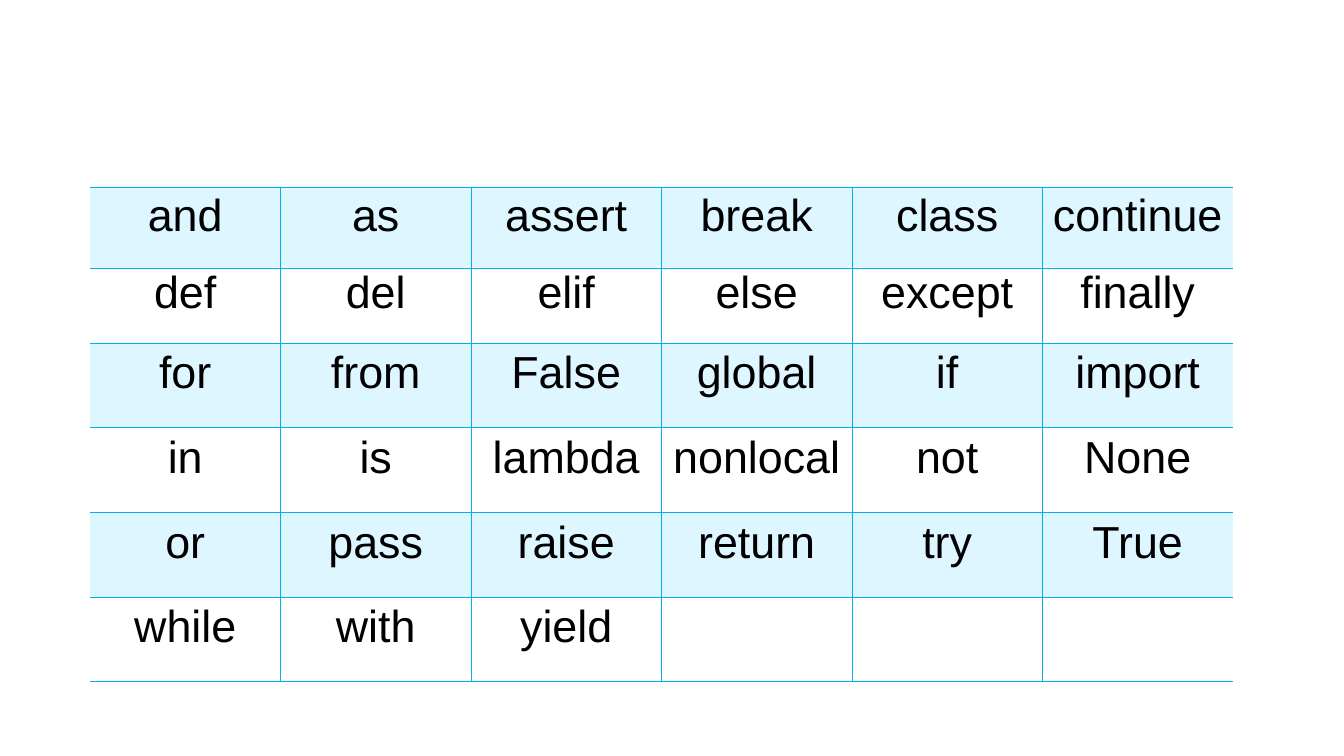
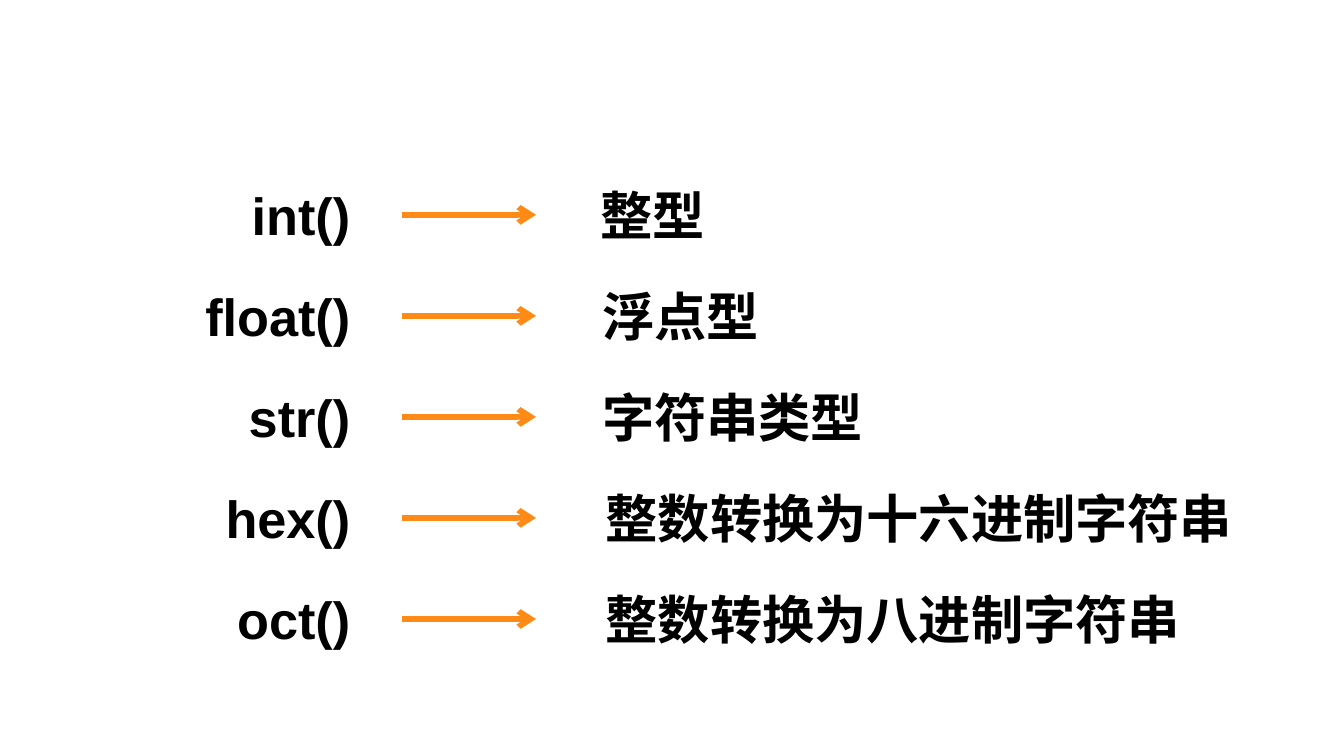
from dataclasses import dataclass
from itertools import chain

from lxml.etree import SubElement
from pptx import Presentation
from pptx.dml.color import RGBColor
from pptx.enum.shapes import MSO_CONNECTOR
from pptx.enum.text import MSO_ANCHOR, MSO_AUTO_SIZE, PP_ALIGN
from pptx.oxml import parse_xml
from pptx.oxml.ns import nsdecls, qn
from pptx.slide import Slide
from pptx.table import _Cell
from pptx.text.text import _Paragraph
from pptx.util import Cm, Pt

# Shared style
FONT = "Arial"
COLORS = {"text": "000000", "band": "5DD5FF", "grid": "00B0F0", "arrow": "FF8A15"}
BLANK_LAYOUT = 6

# Keyword table
KEYWORD_ROWS = [
    ["and", "as", "assert", "break", "class", "continue"],
    ["def", "del", "elif", "else", "except", "finally"],
    ["for", "from", "False", "global", "if", "import"],
    ["in", "is", "lambda", "nonlocal", "not", "None"],
    ["or", "pass", "raise", "return", "try", "True"],
    ["while", "with", "yield", "", "", ""],
]
ROW_HEIGHTS = [1.52, 1.42, 1.6, 1.6, 1.6, 1.6]
COLUMN_WIDTH = 3.6
NO_GRID_STYLE = "{2D5ABB26-0587-4C30-8999-92F81FD0307C}"

# Conversion list
FIRST_TOP, ROW_PITCH, LABEL_HEIGHT = 3.33, 1.91, 1.45
CALL_RIGHT = 6.87
ARROW_LEFT, ARROW_RIGHT, ARROW_DROP = 7.6, 10.13, 0.73
GLYPH_WIDTH, LABEL_PADDING = 0.99, 0.53


@dataclass
class Conversion:
    call: str
    call_width: float
    meaning: str
    meaning_left: float


CONVERSIONS = [
    Conversion("int()", 2.42, "整型", 11.1),
    Conversion("float()", 3.29, "浮点型", 11.13),
    Conversion("str()", 2.47, "字符串类型", 11.13),
    Conversion("hex()", 2.91, "整数转换为十六进制字符串", 11.2),
    Conversion("oct()", 2.69, "整数转换为八进制字符串", 11.2),
]


def color(name: str) -> RGBColor:
    return RGBColor.from_string(COLORS[name])


def style_paragraph(paragraph: _Paragraph, size: int, align: PP_ALIGN, bold: bool = False) -> None:
    paragraph.alignment = align
    font = paragraph.font
    font.name, font.size, font.bold = FONT, Pt(size), bold
    font.color.rgb = color("text")


def add_borders(cell: _Cell, sides: str) -> None:
    """Draw hairlines on the given sides, in the order L, R, T, B."""
    properties = cell._tc.get_or_add_tcPr()
    for index, side in enumerate(sides):
        properties.insert(index, parse_xml(
            f'<a:ln{side} {nsdecls("a")} w="{Pt(0.23)}"><a:solidFill>'
            f'<a:srgbClr val="{COLORS["grid"]}"/></a:solidFill></a:ln{side}>'))


def fill_cell(cell: _Cell, banded: bool) -> None:
    if not banded:
        cell.fill.background()
        return
    cell.fill.solid()
    cell.fill.fore_color.rgb = color("band")
    tint = cell._tc.tcPr.find(qn("a:solidFill")).find(qn("a:srgbClr"))
    SubElement(tint, qn("a:alpha"), val="20000")


def add_keyword_table(slide: Slide) -> None:
    columns = len(KEYWORD_ROWS[0])
    table = slide.shapes.add_table(
        len(KEYWORD_ROWS), columns, Cm(1.7), Cm(3.54),
        Cm(COLUMN_WIDTH * columns), Cm(sum(ROW_HEIGHTS))).table
    table.first_row = table.horz_banding = False
    table._tbl.tblPr.find(qn("a:tableStyleId")).text = NO_GRID_STYLE
    for column in table.columns:
        column.width = Cm(COLUMN_WIDTH)
    for row, height in zip(table.rows, ROW_HEIGHTS):
        row.height = Cm(height)

    for index, (cell, keyword) in enumerate(
            zip(table.iter_cells(), chain.from_iterable(KEYWORD_ROWS))):
        row, column = divmod(index, columns)
        fill_cell(cell, banded=row % 2 == 0)
        inner_sides = ("L" if column else "") + ("R" if column < columns - 1 else "")
        add_borders(cell, inner_sides + "TB")
        cell.vertical_anchor = MSO_ANCHOR.MIDDLE
        cell.margin_left = cell.margin_right = Cm(0.18)
        cell.margin_top = cell.margin_bottom = Cm(0.13)
        if keyword:
            cell.text = keyword
            paragraph = cell.text_frame.paragraphs[0]
            paragraph.line_spacing = Pt(14)
            style_paragraph(paragraph, 24, PP_ALIGN.CENTER)


def add_label(slide: Slide, text: str, left: float, top: float, width: float,
              align: PP_ALIGN) -> None:
    frame = slide.shapes.add_textbox(
        Cm(left), Cm(top), Cm(width), Cm(LABEL_HEIGHT)).text_frame
    frame.word_wrap = False
    frame.auto_size = MSO_AUTO_SIZE.SHAPE_TO_FIT_TEXT
    frame.text = text
    style_paragraph(frame.paragraphs[0], 28, align, bold=True)


def add_arrow(slide: Slide, y: float) -> None:
    arrow = slide.shapes.add_connector(
        MSO_CONNECTOR.STRAIGHT, Cm(ARROW_LEFT), Cm(y), Cm(ARROW_RIGHT), Cm(y))
    arrow.line.color.rgb = color("arrow")
    arrow.line.width = Pt(3)
    SubElement(arrow.line._get_or_add_ln(), qn("a:tailEnd"), type="arrow")
    SubElement(arrow._element.spPr, qn("a:effectLst"))


def add_conversion(slide: Slide, conversion: Conversion, top: float) -> None:
    add_label(slide, conversion.meaning, conversion.meaning_left, top,
              GLYPH_WIDTH * len(conversion.meaning) + LABEL_PADDING, PP_ALIGN.LEFT)
    add_arrow(slide, top + ARROW_DROP)
    add_label(slide, conversion.call, CALL_RIGHT - conversion.call_width, top,
              conversion.call_width, PP_ALIGN.RIGHT)


def main() -> None:
    deck = Presentation()
    deck.slide_width, deck.slide_height = Cm(25.4), Cm(14.29)
    blank = deck.slide_layouts[BLANK_LAYOUT]

    # Slide 1: reserved words
    add_keyword_table(deck.slides.add_slide(blank))

    # Slide 2: type conversion functions
    conversion_slide = deck.slides.add_slide(blank)
    for index, conversion in enumerate(CONVERSIONS):
        add_conversion(conversion_slide, conversion, FIRST_TOP + index * ROW_PITCH)

    deck.save("out.pptx")


if __name__ == "__main__":
    main()
